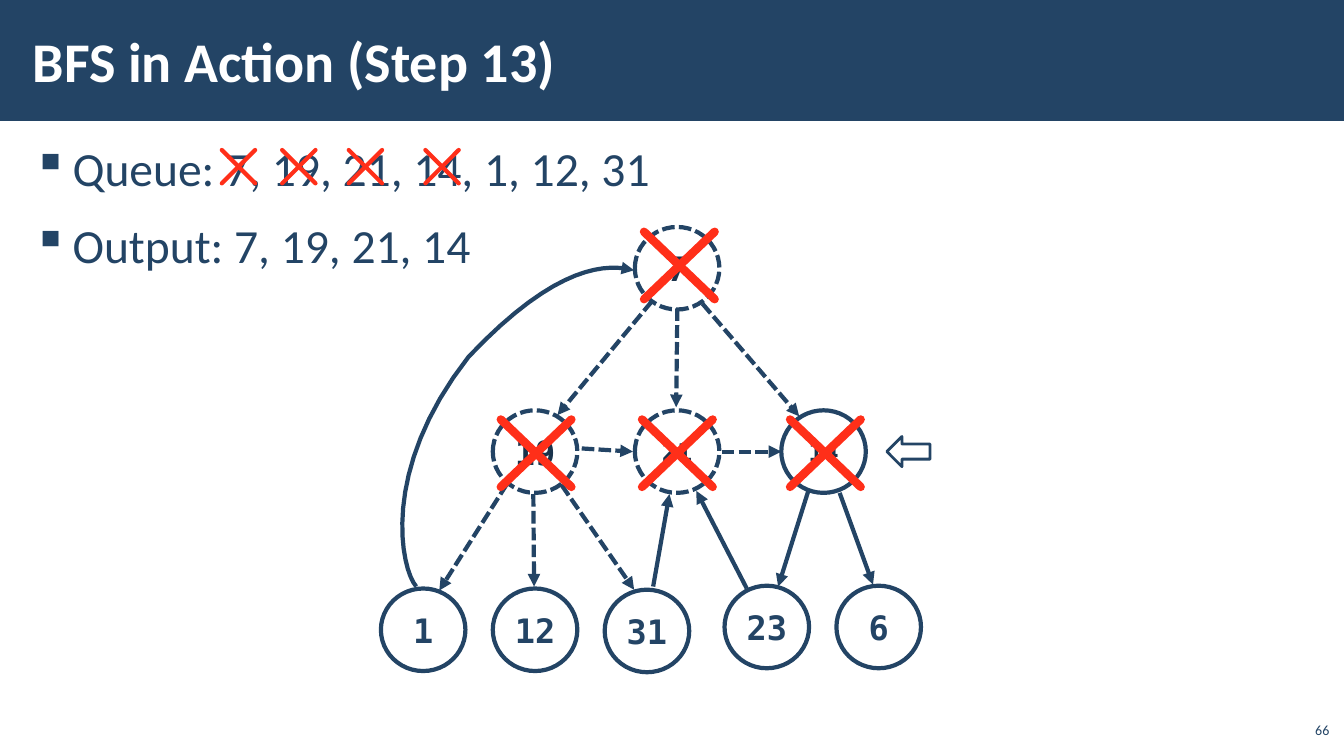
"""Build the slide that shows step 13 of a breadth-first search."""
import dataclasses
import typing

import lxml.etree
import pptx
import pptx.dml.color
import pptx.enum.dml
import pptx.enum.shapes
import pptx.enum.text
import pptx.oxml.ns
import pptx.util

Cm = pptx.util.Cm
Pt = pptx.util.Pt
Rgb = pptx.dml.color.RGBColor
Kind = pptx.enum.shapes.MSO_SHAPE
Align = pptx.enum.text.PP_ALIGN
Anchor = pptx.enum.text.MSO_ANCHOR
Spot = tuple[float, float]


@dataclasses.dataclass(frozen=True)
class Theme:
    """Colours, fonts and type sizes."""
    navy: Rgb = Rgb(0x23, 0x44, 0x65)
    dark: Rgb = Rgb(0x1A, 0x33, 0x4C)
    red: Rgb = Rgb(0xFF, 0x2F, 0x19)
    white: Rgb = Rgb(0xFF, 0xFF, 0xFF)
    sans: str = "Calibri"
    mono: str = "DejaVu Sans Mono"
    title: int = 40
    body: int = 34
    node: int = 24
    small: int = 18
    page: int = 10


@dataclasses.dataclass(frozen=True)
class Node:
    """A graph node with its top left corner."""
    label: str
    left: float
    top: float
    seen: bool = False
    dashed: bool = False
    size: int = Theme.node


@dataclasses.dataclass(frozen=True)
class Edge:
    """An arrow between two nodes."""
    start: Spot
    end: Spot
    dashed: bool = True


@dataclasses.dataclass(frozen=True)
class Cross:
    """A red cross with its top left corner, size and line width."""
    left: float
    top: float
    width: float
    height: float
    weight: int


THEME = Theme()
NODE_W, NODE_H = 2.13, 2.08
MID, LOW = 10.34, 14.83
NODES = [
    Node("7", 16, 5.72, True, True),
    Node("19", 12.42, MID, True, True),
    Node("21", 16, MID, True, True, THEME.small),
    Node("14", 19.69, MID, True, False, THEME.small),
    Node("1", 9.6, LOW),
    Node("12", 12.42, LOW),
    Node("31", 15.24, 14.86),
    Node("23", 18.26, 14.76),
    Node("6", 21.08, 14.76),
]
EDGES = [
    Edge((16.43, 7.59), (14.05, 10.46)),
    Edge((17.07, 7.77), (17.04, 10.26)),
    Edge((17.7, 7.65), (20.14, 10.49)),
    Edge((14.66, 11.3), (15.95, 11.38)),
    Edge((18.19, 11.38), (19.69, 11.38)),
    Edge((12.78, 12.19), (11.07, 14.88)),
    Edge((13.44, 12.45), (13.46, 14.78)),
    Edge((14.15, 12.22), (15.98, 14.86)),
    Edge((16.46, 14.78), (16.87, 12.45), False),
    Edge((18.82, 14.83), (17.55, 12.37), False),
    Edge((20.37, 12.37), (19.61, 14.78), False),
    Edge((21.16, 12.42), (22, 14.73), False),
]
CURVES = [
    [(10.49, 14.78), (10.11, 14.35), (9.55, 11.86), (11.81, 8.99)],
    [(11.81, 8.99), (14.07, 6.6), (15.34, 6.65), (15.98, 6.81)],
]
CROSSES = [Cross(left, 3.78, 0.84, 0.84, 3) for left in (5.59, 7.11, 8.79, 10.72)]
CROSSES += [Cross(left, top, 1.78, 1.7, 6) for left, top in
            ((16.23, 5.84), (12.62, 10.57), (16.18, 10.57), (19.91, 10.57))]


def add_tag(parent: typing.Any, tag: str, **attrs: str) -> typing.Any:
    """Append a drawing element to its parent."""
    return lxml.etree.SubElement(parent, pptx.oxml.ns.qn(tag), attrs)


def set_line(shape: typing.Any, color: Rgb, weight: float,
             dashed: bool = False, arrow: bool = False) -> None:
    """Style an outline or a connector."""
    shape.line.color.rgb = color
    shape.line.width = Pt(weight)
    if dashed:
        shape.line.dash_style = pptx.enum.dml.MSO_LINE.SQUARE_DOT
    if arrow:
        add_tag(shape.get_or_add_ln(), "a:tailEnd", type="triangle")


def set_fill(shape: typing.Any, color: Rgb, alpha: int = 100) -> None:
    """Fill a shape at the given opacity, without a shadow."""
    shape.shadow.inherit = False
    shape.fill.solid()
    shape.fill.fore_color.rgb = color
    if alpha < 100:
        tint = shape.element.spPr.find(".//" + pptx.oxml.ns.qn("a:srgbClr"))
        add_tag(tint, "a:alpha", val=str(alpha * 1000))


def set_font(para: typing.Any, name: str, size: int, color: Rgb,
             bold: bool = False) -> None:
    """Set the font of a paragraph."""
    para.font.name = name
    para.font.size = Pt(size)
    para.font.color.rgb = color
    para.font.bold = bold


def add_box(slide: typing.Any, left: float, top: float, width: float,
            height: float, anchor: Anchor) -> typing.Any:
    """Add a wrapping text box and return its frame."""
    frame = slide.shapes.add_textbox(Cm(left), Cm(top), Cm(width), Cm(height)).text_frame
    frame.word_wrap = True
    frame.vertical_anchor = anchor
    frame.margin_left = frame.margin_right = Cm(0.3)
    frame.margin_top = frame.margin_bottom = Cm(0.1)
    return frame


def add_list(slide: typing.Any, lines: list[str]) -> None:
    """Add the bulleted queue and output lines."""
    frame = add_box(slide, 0.53, 3.33, 32.82, 15.37, Anchor.TOP)
    for rank, text in enumerate(lines):
        para = frame.add_paragraph() if rank else frame.paragraphs[0]
        para.text = text
        para.line_spacing = 1.05
        para.space_before = Pt(6 if rank else 0)
        para.space_after = Pt(6)
        props = para._p.get_or_add_pPr()
        props.set("marL", str(Cm(1)))
        props.set("indent", str(-Cm(1)))
        add_tag(props, "a:buChar", char="▪")
        set_font(para, THEME.sans, THEME.body, THEME.navy)


def add_line(slide: typing.Any, start: Spot, end: Spot) -> typing.Any:
    """Add a straight connector without a shadow."""
    line = slide.shapes.add_connector(
        pptx.enum.shapes.MSO_CONNECTOR.STRAIGHT, *map(Cm, start + end))
    add_tag(line.element.spPr, "a:effectLst")
    return line


def add_node(slide: typing.Any, node: Node) -> None:
    """Draw one labelled graph node."""
    shape = slide.shapes.add_shape(
        Kind.OVAL, Cm(node.left), Cm(node.top), Cm(NODE_W), Cm(NODE_H))
    set_fill(shape, THEME.white, 70 if node.seen else 50)
    set_line(shape, THEME.navy, 3, node.dashed)
    frame = shape.text_frame
    frame.word_wrap = False
    frame.vertical_anchor = Anchor.MIDDLE
    para = frame.paragraphs[0]
    para.text = node.label
    para.alignment = Align.CENTER
    set_font(para, THEME.mono, node.size, THEME.dark if node.seen else THEME.navy, True)


def add_cross(slide: typing.Any, cross: Cross) -> None:
    """Draw both strokes of a cross."""
    right, base = cross.left + cross.width, cross.top + cross.height
    for first, last in ((cross.left, right), (right, cross.left)):
        line = add_line(slide, (first, cross.top), (last, base))
        set_line(line, THEME.red, cross.weight)
        line.get_or_add_ln().set("cap", "rnd")


def bend(curve: list[Spot], part: float) -> Spot:
    """Return the point at a share of a cubic curve."""
    rest = 1 - part
    shares = (rest ** 3, 3 * rest ** 2 * part, 3 * rest * part ** 2, part ** 3)
    return tuple(sum(s * spot[axis] for s, spot in zip(shares, curve)) for axis in (0, 1))


def add_curve(slide: typing.Any, steps: int = 16) -> None:
    """Draw the curved arrow from node 1 to node 7."""
    spots = [bend(curve, i / steps) for curve in CURVES for i in range(1, steps + 1)]
    build = slide.shapes.build_freeform(*map(Cm, CURVES[0][0]))
    build.add_line_segments([(Cm(x), Cm(y)) for x, y in spots], close=False)
    shape = build.convert_to_shape()
    shape.shadow.inherit = False
    shape.fill.background()
    set_line(shape, THEME.navy, 3, arrow=True)


def main() -> None:
    """Build and save the slide."""
    deck = pptx.Presentation()
    deck.slide_width, deck.slide_height = Cm(33.87), Cm(19.05)
    slide = deck.slides.add_slide(deck.slide_layouts[6])
    band = slide.shapes.add_shape(Kind.RECTANGLE, 0, 0, deck.slide_width, Cm(3.05))
    set_fill(band, THEME.navy)
    band.line.fill.background()
    add_list(slide, ["Queue: 7, 19, 21, 14, 1, 12, 31", "Output: 7, 19, 21, 14"])
    title = add_box(slide, 0.53, 0.28, 27, 2.46, Anchor.MIDDLE).paragraphs[0]
    title.text = "BFS in Action (Step 13)"
    set_font(title, THEME.sans, THEME.title, THEME.white, True)
    page = add_box(slide, 32.61, 18.14, 1.19, 0.56, Anchor.BOTTOM).paragraphs[0]
    page.text = "66"
    page.alignment = Align.RIGHT
    set_font(page, THEME.sans, THEME.page, THEME.navy)
    for node in NODES:
        add_node(slide, node)
    for edge in EDGES:
        set_line(add_line(slide, edge.start, edge.end), THEME.navy, 3, edge.dashed, True)
    add_curve(slide)
    for cross in CROSSES:
        add_cross(slide, cross)
    mark = slide.shapes.add_shape(Kind.LEFT_ARROW, Cm(22.35), Cm(11), Cm(1.09), Cm(0.76))
    set_fill(mark, THEME.white, 50)
    set_line(mark, THEME.navy, 2)
    deck.save("out.pptx")


if __name__ == "__main__":
    main()
